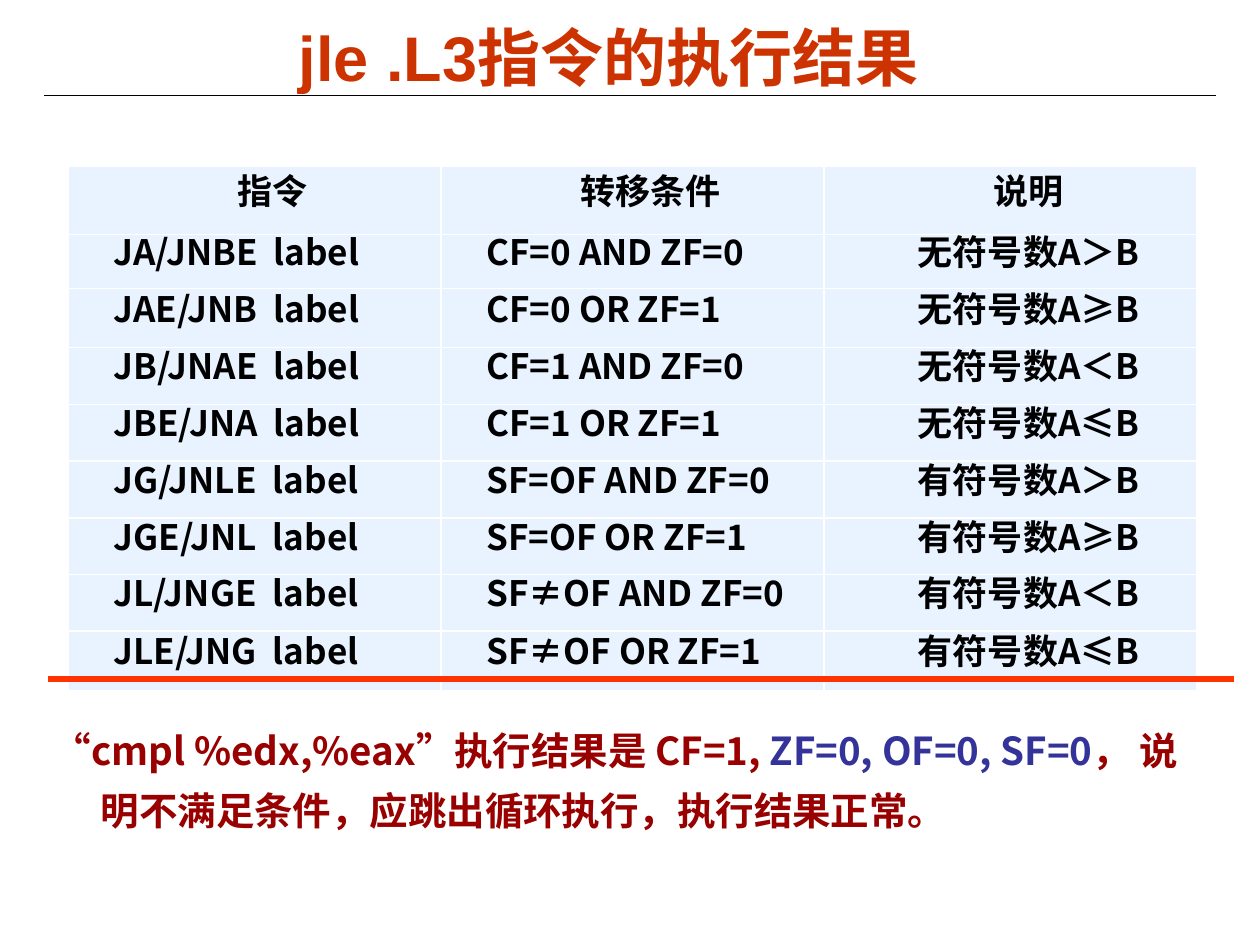
from lxml.etree import SubElement
from pptx import Presentation
from pptx.dml.color import RGBColor
from pptx.enum.shapes import MSO_CONNECTOR, MSO_SHAPE
from pptx.enum.text import MSO_ANCHOR, MSO_AUTO_SIZE, PP_ALIGN as AL
from pptx.oxml.ns import qn
from pptx.util import Inches, Pt

TITLE = "jle .L3指令的执行结果"
HEADER = ("指令", "转移条件", "说明")
JUMPS = [
    ("JA/JNBE  label", "CF=0 AND ZF=0", "无符号数A＞B"),
    ("JAE/JNB  label", "CF=0 OR ZF=1", "无符号数A≥B"),
    ("JB/JNAE  label", "CF=1 AND ZF=0", "无符号数A＜B"),
    ("JBE/JNA  label", "CF=1 OR ZF=1", "无符号数A≤B"),
    ("JG/JNLE  label", "SF=OF AND ZF=0", "有符号数A＞B"),
    ("JGE/JNL  label", "SF=OF OR ZF=1", "有符号数A≥B"),
    ("JL/JNGE  label", "SF≠OF AND ZF=0", "有符号数A＜B"),
    ("JLE/JNG  label", "SF≠OF OR ZF=1", "有符号数A≤B"),
]
RESULT = [
    ("“cmpl %edx,%eax”执行结果是 CF=1,", "dark_red"),
    (" ZF=0, OF=0, SF=0", "blue"),
    ("， 说明不满足条件，应跳出循环执行，执行结果正常。", "dark_red"),
]
COL_WIDTHS = (2.96, 3.04, 2.96)
ROW_HEIGHTS = (0.54, 0.43, 0.47, 0.45, 0.45, 0.45, 0.45, 0.45, 0.47)
COLORS = {"title": "CC3300", "black": "000000", "white": "FFFFFF", "cell": "E8F3FF",
          "mark": "FF3300", "dark_red": "990000", "blue": "333399"}
CJK = "Noto Sans CJK SC"


def rgb(name):
    return RGBColor.from_string(COLORS[name])


def add_run(p, text, size, color, font=CJK):
    r = p.add_run()
    r.text = text
    r.font.size = Pt(size)
    r.font.bold = True
    r.font.color.rgb = rgb(color)
    r.font.name = font
    SubElement(r.font._element, qn("a:ea"), typeface=CJK)


def add_line(s, x1, x2, y, color, width):
    line = s.shapes.add_connector(MSO_CONNECTOR.STRAIGHT, Inches(x1), Inches(y),
                                  Inches(x2), Inches(y))
    line.line.color.rgb = rgb(color)
    line.line.width = Pt(width)
    SubElement(line._element.spPr, qn("a:effectLst"))


def set_borders(cell, color, width):
    tc_pr = cell._tc.get_or_add_tcPr()
    for side in ("lnL", "lnR", "lnT", "lnB"):
        ln = SubElement(tc_pr, qn(f"a:{side}"), w=str(Pt(width)))
        fill = SubElement(ln, qn("a:solidFill"))
        SubElement(fill, qn("a:srgbClr"), val=COLORS[color])


def fill_cell(cell, text, align):
    set_borders(cell, "white", 1)
    cell.fill.solid()
    cell.fill.fore_color.rgb = rgb("cell")
    cell.vertical_anchor = MSO_ANCHOR.MIDDLE
    cell.margin_left = cell.margin_right = Inches(0.07)
    cell.margin_top = cell.margin_bottom = 0
    p = cell.text_frame.paragraphs[0]
    p.alignment = align
    p.line_spacing = Pt(16)
    p_pr = p._p.get_or_add_pPr()
    p_pr.set("indent", str(Inches(0.29)))
    SubElement(SubElement(p_pr, qn("a:spcBef")), qn("a:spcPct"), val="30000")
    add_run(p, text, 20, "black")


prs = Presentation()
prs.slide_width, prs.slide_height = Inches(10), Inches(7.5)
s = prs.slides.add_slide(prs.slide_layouts[5])

# Title and its rule
title = s.shapes.title
title.left, title.top, title.width, title.height = map(Inches, (1.75, 0.16, 6.16, 0.58))
tf = title.text_frame
tf.auto_size = MSO_AUTO_SIZE.NONE
tf.vertical_anchor = MSO_ANCHOR.MIDDLE
p = tf.paragraphs[0]
p.alignment = AL.CENTER
add_run(p, TITLE, 36, "title", "Arial")
add_line(s, 0.35, 9.65, 0.76, "black", 0.75)

# Table of conditional jumps
rows = [HEADER] + JUMPS
table = s.shapes.add_table(len(rows), len(HEADER), Inches(0.54), Inches(1.32),
                           Inches(sum(COL_WIDTHS)), Inches(sum(ROW_HEIGHTS))).table
for col, width in zip(table.columns, COL_WIDTHS):
    col.width = Inches(width)
for i, (row, height) in enumerate(zip(rows, ROW_HEIGHTS)):
    table.rows[i].height = Inches(height)
    for j, text in enumerate(row):
        fill_cell(table.cell(i, j), text, AL.CENTER if i == 0 or j == 2 else AL.JUSTIFY)

# Underline of the JLE row
add_line(s, 0.38, 9.79, 5.39, "mark", 3)

# Result of the comparison
sp = s.shapes.add_shape(MSO_SHAPE.RECTANGLE, Inches(0.35), Inches(5.63),
                        Inches(9.24), Inches(1.01))
sp.shadow.inherit = False
sp.fill.solid()
sp.fill.fore_color.rgb = rgb("white")
sp.line.fill.background()
tf = sp.text_frame
tf.word_wrap = True
tf.auto_size = MSO_AUTO_SIZE.SHAPE_TO_FIT_TEXT
tf.vertical_anchor = MSO_ANCHOR.TOP
tf.margin_left = tf.margin_right = Inches(0.07)
tf.margin_top = tf.margin_bottom = Inches(0.03)
p = tf.paragraphs[0]
p.alignment = AL.LEFT
p.line_spacing = 1.3
p_pr = p._p.get_or_add_pPr()
p_pr.set("marL", str(Inches(0.38)))
p_pr.set("indent", str(Inches(-0.38)))
for text, color in RESULT:
    add_run(p, text, 22, color)

prs.save("out.pptx")
